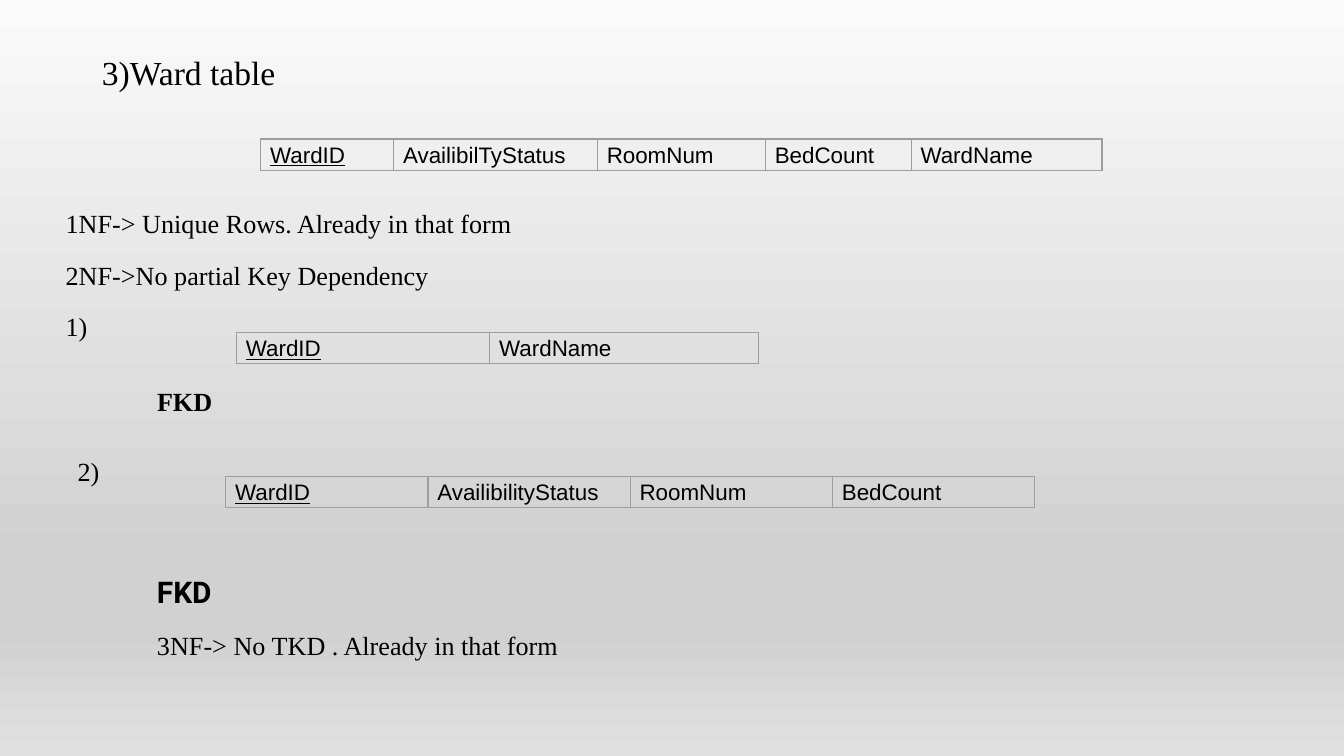
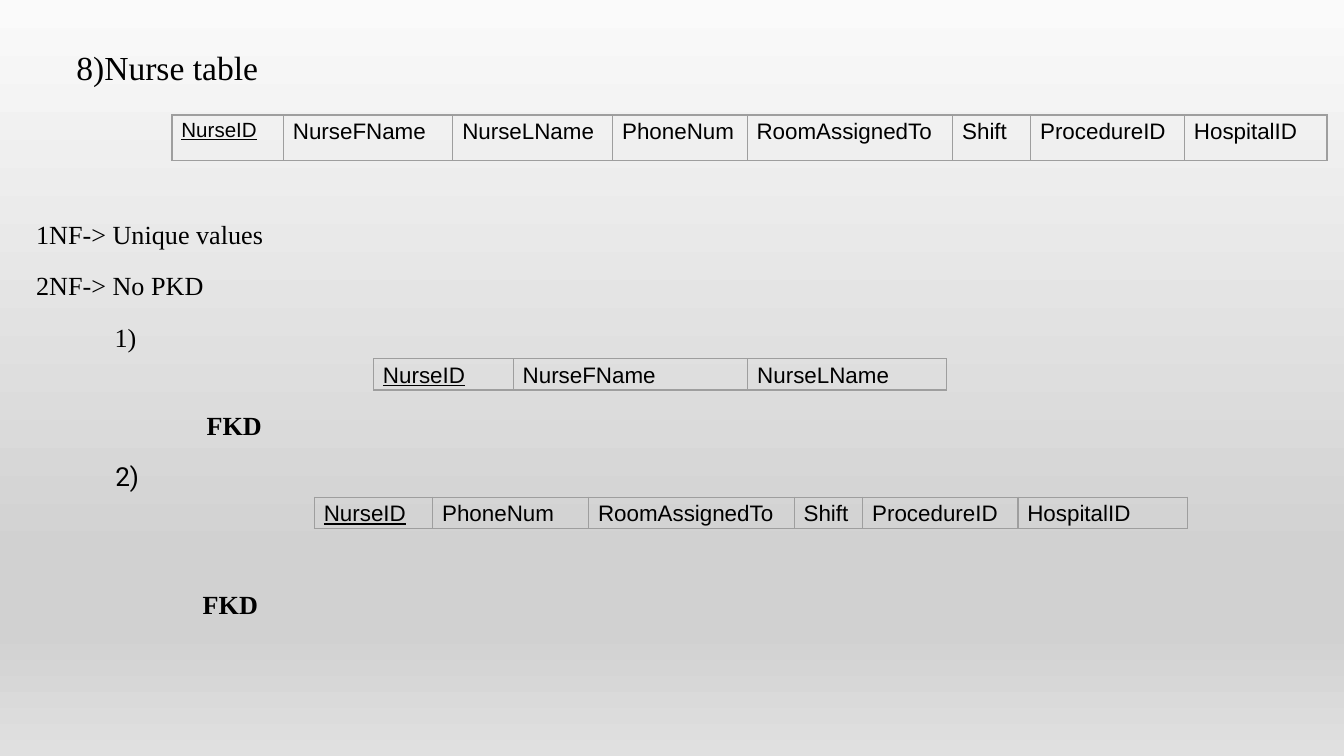
from dataclasses import dataclass
from typing import Optional

from lxml import etree
from pptx import Presentation
from pptx.dml.color import RGBColor
from pptx.enum.text import MSO_ANCHOR, MSO_AUTO_SIZE
from pptx.oxml.ns import qn
from pptx.util import Emu, Pt

PX_PER_INCH = 200
EMU_PER_PX = 914400 // PX_PER_INCH
PAGE_WIDTH, PAGE_HEIGHT = 2000, 1125
GROW = MSO_AUTO_SIZE.SHAPE_TO_FIT_TEXT
TOP = MSO_ANCHOR.TOP


@dataclass(frozen=True)
class Theme:
    ink: str = "000000"
    border: str = "9E9E9E"
    backdrop: tuple = ((0, "FAFAFA"), (74, "D1D1D1"), (83, "D1D1D1"), (100, "E0E0E0"))
    serif: str = "Times New Roman"
    sans: str = "Arial"
    accent: str = "Roboto"
    title_size: int = 18
    heading_size: int = 16
    body_size: int = 14
    cell_size: int = 12
    small_cell_size: int = 11
    border_width: float = 0.75
    line_spacing: float = 1.16
    space_after: int = 8


THEME = Theme()


@dataclass(frozen=True)
class Line:
    text: str
    size: int = THEME.body_size
    font: str = THEME.serif
    bold: bool = False
    indent: int = 0


@dataclass(frozen=True)
class Note:
    left: int
    top: int
    width: int
    height: int
    lines: tuple[Line, ...]
    wrap: bool = True


@dataclass(frozen=True)
class Relation:
    left: int
    top: int
    columns: tuple[tuple[str, int], ...]
    height: int = 44
    key_size: int = THEME.cell_size


@dataclass(frozen=True)
class Page:
    title: Note
    relations: tuple[Relation, ...]
    notes: tuple[Note, ...]


def px(length: int) -> Emu:
    return Emu(length * EMU_PER_PX)


def write_text(para, text: str, *, size: int, font: str, bold: bool = False,
               underline: bool = False, indent: int = 0, after: Optional[int] = None) -> None:
    if indent:
        properties = para._p.get_or_add_pPr()
        properties.set("marL", str(px(indent)))
        properties.set("indent", "0")
    para.line_spacing = THEME.line_spacing
    if after is not None:
        para.space_after = Pt(after)
    span = para.add_run()
    span.text = text
    span.font.name = font
    span.font.size = Pt(size)
    span.font.bold = bold
    span.font.underline = underline
    span.font.color.rgb = RGBColor.from_string(THEME.ink)


def paint_backdrop(page) -> None:
    fill = page.background.fill
    fill.gradient()
    fill.gradient_angle = 270
    stops = next(page._element.iter(qn("a:gsLst")))
    for stop in list(stops):
        stops.remove(stop)
    for percent, color in THEME.backdrop:
        stop = etree.SubElement(stops, qn("a:gs"), pos=str(percent * 1000))
        etree.SubElement(stop, qn("a:srgbClr"), val=color)


def add_note(page, note: Note) -> None:
    box = page.shapes.add_textbox(px(note.left), px(note.top), px(note.width), px(note.height))
    frame = box.text_frame
    frame.word_wrap = note.wrap
    frame.auto_size = GROW
    for index, line in enumerate(note.lines):
        para = frame.add_paragraph() if index else frame.paragraphs[0]
        write_text(para, line.text, size=line.size, font=line.font, bold=line.bold,
                   indent=line.indent, after=THEME.space_after)


def outline_cell(cell) -> None:
    properties = cell._tc.get_or_add_tcPr()
    for side in ("lnL", "lnR", "lnT", "lnB"):
        edge = etree.SubElement(properties, qn(f"a:{side}"), w=str(Pt(THEME.border_width)))
        solid = etree.SubElement(edge, qn("a:solidFill"))
        etree.SubElement(solid, qn("a:srgbClr"), val=THEME.border)


def add_relation(page, relation: Relation) -> None:
    width = sum(column_width for _, column_width in relation.columns)
    table = page.shapes.add_table(1, len(relation.columns), px(relation.left), px(relation.top),
                                  px(width), px(relation.height)).table
    table.first_row = False
    table.horz_banding = False
    for index, (name, column_width) in enumerate(relation.columns):
        is_key = index == 0
        table.columns[index].width = px(column_width)
        cell = table.cell(0, index)
        outline_cell(cell)
        cell.fill.background()
        cell.margin_left = cell.margin_right = px(14)
        cell.margin_top = cell.margin_bottom = 0
        cell.vertical_anchor = TOP
        write_text(cell.text_frame.paragraphs[0], name, font=THEME.sans, underline=is_key,
                   size=relation.key_size if is_key else THEME.cell_size)


def title_line(text: str) -> tuple[Line, ...]:
    return (Line(text, size=THEME.title_size),)


FKD = Line("FKD", bold=True)

PAGES = (
    Page(
        title=Note(132, 58, 410, 86, title_line("3)Ward table")),
        relations=(
            Relation(388, 207, (("WardID", 198), ("AvailibilTyStatus", 303), ("RoomNum", 250),
                                ("BedCount", 217), ("WardName", 284))),
            Relation(352, 495, (("WardID", 377), ("WardName", 400))),
            Relation(336, 709, tuple((name, 301) for name in (
                "WardID", "AvailibilityStatus", "RoomNum", "BedCount"))),
        ),
        notes=(
            Note(78, 292, 938, 226, (Line("1NF-> Unique Rows. Already in that form"),
                                     Line("2NF->No partial Key Dependency"), Line("1)"))),
            Note(214, 556, 124, 72, (FKD,), wrap=False),
            Note(96, 660, 72, 72, (Line("2)"),), wrap=False),
            Note(214, 836, 1000, 156, (
                Line("FKD", size=THEME.heading_size, font=THEME.accent, bold=True),
                Line("3NF-> No TKD . Already in that form"))),
        ),
    ),
    Page(
        title=Note(94, 50, 326, 86, title_line("8)Nurse table"), wrap=False),
        relations=(
            Relation(256, 171, (("NurseID", 166), ("NurseFName", 252), ("NurseLName", 238),
                                ("PhoneNum", 200), ("RoomAssignedTo", 306), ("Shift", 116),
                                ("ProcedureID", 229), ("HospitalID", 212)),
                     height=68, key_size=THEME.small_cell_size),
            Relation(556, 534, (("NurseID", 208), ("NurseFName", 349), ("NurseLName", 296))),
            Relation(468, 740, (("NurseID", 176), ("PhoneNum", 232), ("RoomAssignedTo", 306),
                                ("Shift", 102), ("ProcedureID", 231), ("HospitalID", 252))),
        ),
        notes=(
            Note(34, 308, 534, 226, (Line("1NF-> Unique values"), Line("2NF-> No PKD"),
                                     Line("1)", indent=117))),
            Note(152, 592, 1000, 148, (Line("FKD", bold=True, indent=136),
                                       Line("2)", font=THEME.accent))),
            Note(282, 858, 124, 72, (FKD,), wrap=False),
        ),
    ),
)


def main() -> None:
    deck = Presentation()
    deck.slide_width = px(PAGE_WIDTH)
    deck.slide_height = px(PAGE_HEIGHT)
    blank = deck.slide_layouts[6]
    for content in PAGES:
        page = deck.slides.add_slide(blank)
        paint_backdrop(page)
        add_note(page, content.title)
        for relation in content.relations:
            add_relation(page, relation)
        for note in content.notes:
            add_note(page, note)
    deck.save("out.pptx")


if __name__ == "__main__":
    main()
